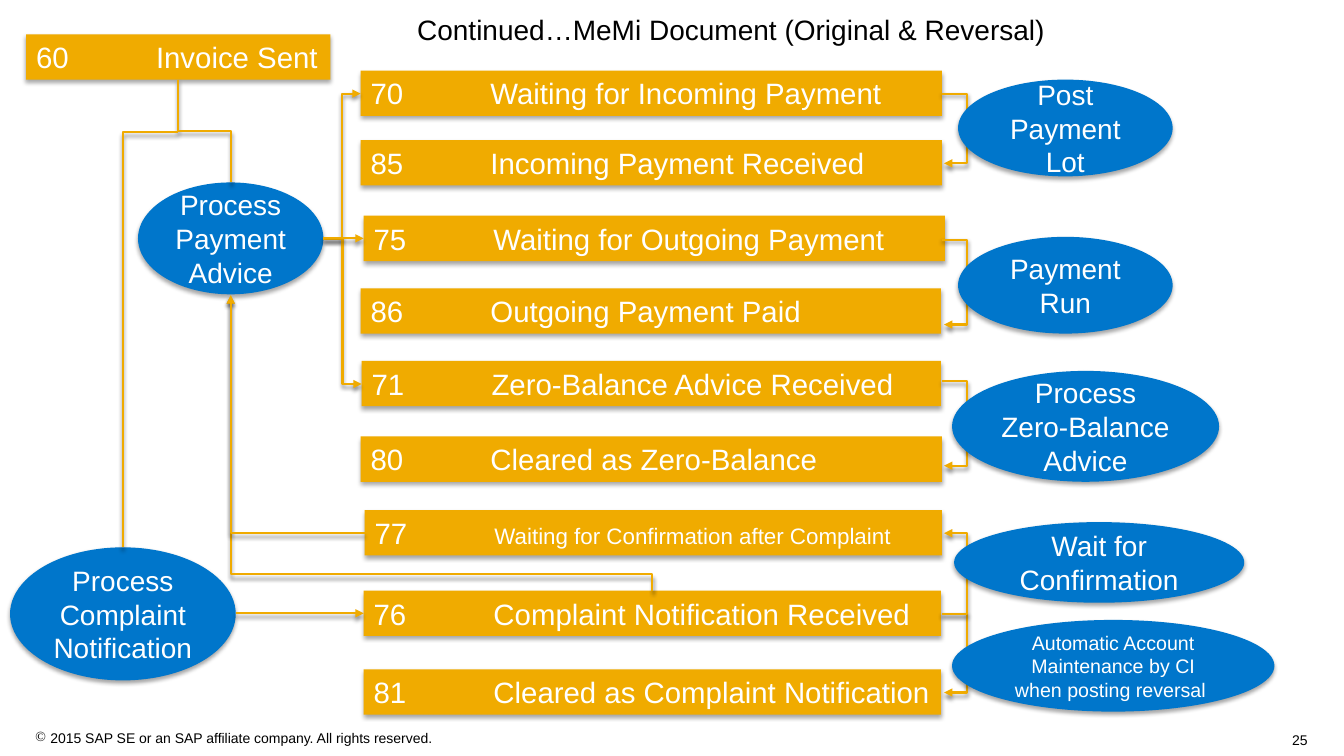
from dataclasses import dataclass
from math import cos, radians, sin
from lxml.etree import SubElement
from pptx import Presentation
from pptx.dml.color import RGBColor as RGB
from pptx.enum.shapes import MSO_CONNECTOR as LINK, MSO_SHAPE as FORM
from pptx.enum.text import MSO_ANCHOR as ANCHOR, MSO_AUTO_SIZE as FIT, PP_ALIGN as ALIGN
from pptx.oxml.ns import qn
from pptx.util import Inches, Pt


@dataclass
class Theme:
    font: str = "Arial"
    gold: RGB = RGB(0xF0, 0xAB, 0x00)
    blue: RGB = RGB(0x00, 0x76, 0xCB)
    white: RGB = RGB(0xFF, 0xFF, 0xFF)
    black: RGB = RGB(0x00, 0x00, 0x00)
    head: int = 20
    bar: int = 21
    note: int = 16
    oval: int = 20
    fine: int = 14
    foot: int = 10


theme = Theme()


def write(frame, runs, color, align=ALIGN.LEFT, pad=(0, 0), anchor=ANCHOR.TOP):
    frame.word_wrap = True
    frame.auto_size = FIT.NONE
    frame.vertical_anchor = anchor
    frame.margin_left = frame.margin_right = Inches(pad[0])
    frame.margin_top = frame.margin_bottom = Inches(pad[1])
    para = frame.paragraphs[0]
    para.alignment = align
    for text, size in runs:
        run = para.add_run()
        run.text = text
        run.font.name = theme.font
        run.font.size = Pt(size)
        run.font.color.rgb = color
    return para


def shade(shape, alpha, drop):
    effects = SubElement(shape.element.spPr, qn("a:effectLst"))
    outer = SubElement(effects, qn("a:outerShdw"), blurRad=str(Pt(3)),
                       dist=str(Pt(drop)), dir="5400000", rotWithShape="0")
    tone = SubElement(outer, qn("a:srgbClr"), val="000000")
    SubElement(tone, qn("a:alpha"), val=str(alpha * 1000))


deck = Presentation()
deck.slide_width, deck.slide_height = Inches(13.34), Inches(7.5)
slide = deck.slides.add_slide(deck.slide_layouts[5])
shapes = slide.shapes

title = shapes.title
title.left, title.top = Inches(4.14), Inches(0.12)
title.width, title.height = Inches(6.59), Inches(0.34)
write(title.text_frame, [("Continued…MeMi Document (Original & Reversal)", theme.head)], theme.black)

page = shapes.add_textbox(Inches(12.58), Inches(7.26), Inches(0.4), Inches(0.17))
write(page.text_frame, [("25", theme.foot)], theme.black, ALIGN.RIGHT)

foot = shapes.add_textbox(Inches(0.35), Inches(7.24), Inches(4.2), Inches(0.17))
legal = "2015 SAP SE or an SAP affiliate company. All rights reserved."
marks = write(foot.text_frame, [(legal, theme.foot)], theme.black)._p.get_or_add_pPr()
marks.set("marL", str(Inches(0.15)))
marks.set("indent", str(-Inches(0.15)))
SubElement(SubElement(marks, qn("a:buClr")), qn("a:srgbClr"), val=str(theme.black))
SubElement(marks, qn("a:buSzPct"), val="100000")
SubElement(marks, qn("a:buChar"), char="©")

bars = {}
for code, text, size, x, y, w in [
    ("60", "Invoice Sent", theme.bar, 0.26, 0.34, 3.02),
    ("70", "Waiting for Incoming Payment", theme.bar, 3.58, 0.7, 5.77),
    ("85", "Incoming Payment Received", theme.bar, 3.58, 1.39, 5.77),
    ("75", "Waiting for Outgoing Payment", theme.bar, 3.61, 2.14, 5.77),
    ("86", "Outgoing Payment Paid", theme.bar, 3.58, 2.86, 5.76),
    ("71", "Zero-Balance Advice Received", theme.bar, 3.59, 3.58, 5.75),
    ("80", "Cleared as Zero-Balance", theme.bar, 3.58, 4.33, 5.77),
    ("77", "Waiting for Confirmation after Complaint", theme.note, 3.62, 5.06, 5.73),
    ("76", "Complaint Notification Received", theme.bar, 3.61, 5.86, 5.73),
    ("81", "Cleared as Complaint Notification", theme.bar, 3.61, 6.64, 5.73),
]:
    bar = shapes.add_shape(FORM.RECTANGLE, Inches(x), Inches(y), Inches(w), Inches(0.45))
    bar.fill.solid()
    bar.fill.fore_color.rgb = theme.gold
    bar.line.fill.background()
    shade(bar, 35, 2)
    para = write(bar.text_frame, [(code + "\t", theme.bar), (text, size)], theme.white, pad=(0.1, 0.05))
    tabs = SubElement(para._p.get_or_add_pPr(), qn("a:tabLst"))
    SubElement(tabs, qn("a:tab"), pos=str(Inches(1.19)), algn="l")
    bars[code] = bar

right = [(9.35, a, 9.37, b, 12.5, 0, True)
         for a, b in [(0.93, 1.62), (2.38, 3.22), (3.78, 4.62), (6.09, 6.87), (6.09, 5.29)]]
left = [
    (1.77, 0.79, 2.29, 1.81, 0.5, 270, False),
    (1.77, 1.31, 1.22, 5.43, None, 0, False),
    (3.21, 2.37, 3.58, 0.93, 0.5, 0, True),
    (3.21, 2.37, 3.59, 3.81, 0.5, 0, True),
    (6.47, 5.86, 2.29, 2.93, 0.055, 270, True),
    (3.62, 5.29, 2.29, 2.93, None, 180, True),
    (3.21, 2.365, 3.61, 2.365, "75", 0, True),
    (2.34, 6.085, 3.61, 6.085, "76", 0, True),
]
ovals = [
    ("Post Payment Lot", theme.oval, 9.51, 0.79, 2.13, 0.96),
    ("Payment Run", theme.oval, 9.51, 2.35, 2.13, 0.96),
    ("Process Zero-Balance Advice", theme.oval, 9.45, 3.68, 2.65, 1.1),
    ("Automatic Account Maintenance by CI when posting reversal ", theme.fine, 9.45, 6.15, 3.2, 0.91),
    ("Process Payment Advice", theme.oval, 1.37, 1.81, 1.84, 1.11),
    ("Process Complaint Notification", theme.oval, 0.1, 5.43, 2.24, 1.32),
    ("Wait for Confirmation", theme.oval, 9.47, 5.18, 2.88, 0.8),
]

for links, group in [(right, ovals), (left, [])]:
    for x1, y1, x2, y2, bend, turn, arrow in links:
        straight = bend in bars
        mx, my = (x1 + x2) / 2, (y1 + y2) / 2
        dx, dy = (x2 - x1) / 2, (y2 - y1) / 2
        c, s = cos(radians(turn)), sin(radians(turn))
        u, v = dx * c + dy * s, dy * c - dx * s
        link = shapes.add_connector(LINK.STRAIGHT if straight else LINK.ELBOW,
                                    Inches(mx - u), Inches(my - v), Inches(mx + u), Inches(my + v))
        link.line.color.rgb = theme.gold
        link.line.width = Pt(1.5)
        geom = link.element.spPr.find(qn("a:prstGeom"))
        if straight:
            link.end_connect(bars[bend], 1)
        elif bend is None:
            geom.set("prst", "bentConnector2")
        else:
            SubElement(geom.find(qn("a:avLst")), qn("a:gd"), name="adj1", fmla=f"val {round(bend * 100000)}")
        if turn:
            link.element.spPr.find(qn("a:xfrm")).set("rot", str(turn * 60000))
        if arrow:
            SubElement(link.line._get_or_add_ln(), qn("a:tailEnd"), type="triangle")
        shade(link, 45, 2.4)
    for text, size, x, y, w, h in group:
        oval = shapes.add_shape(FORM.OVAL, Inches(x), Inches(y), Inches(w), Inches(h))
        oval.fill.solid()
        oval.fill.fore_color.rgb = theme.blue
        oval.line.fill.background()
        shade(oval, 35, 2)
        write(oval.text_frame, [(text, size)], theme.white, ALIGN.CENTER, (0.1, 0.08), ANCHOR.MIDDLE)

deck.save("out.pptx")
